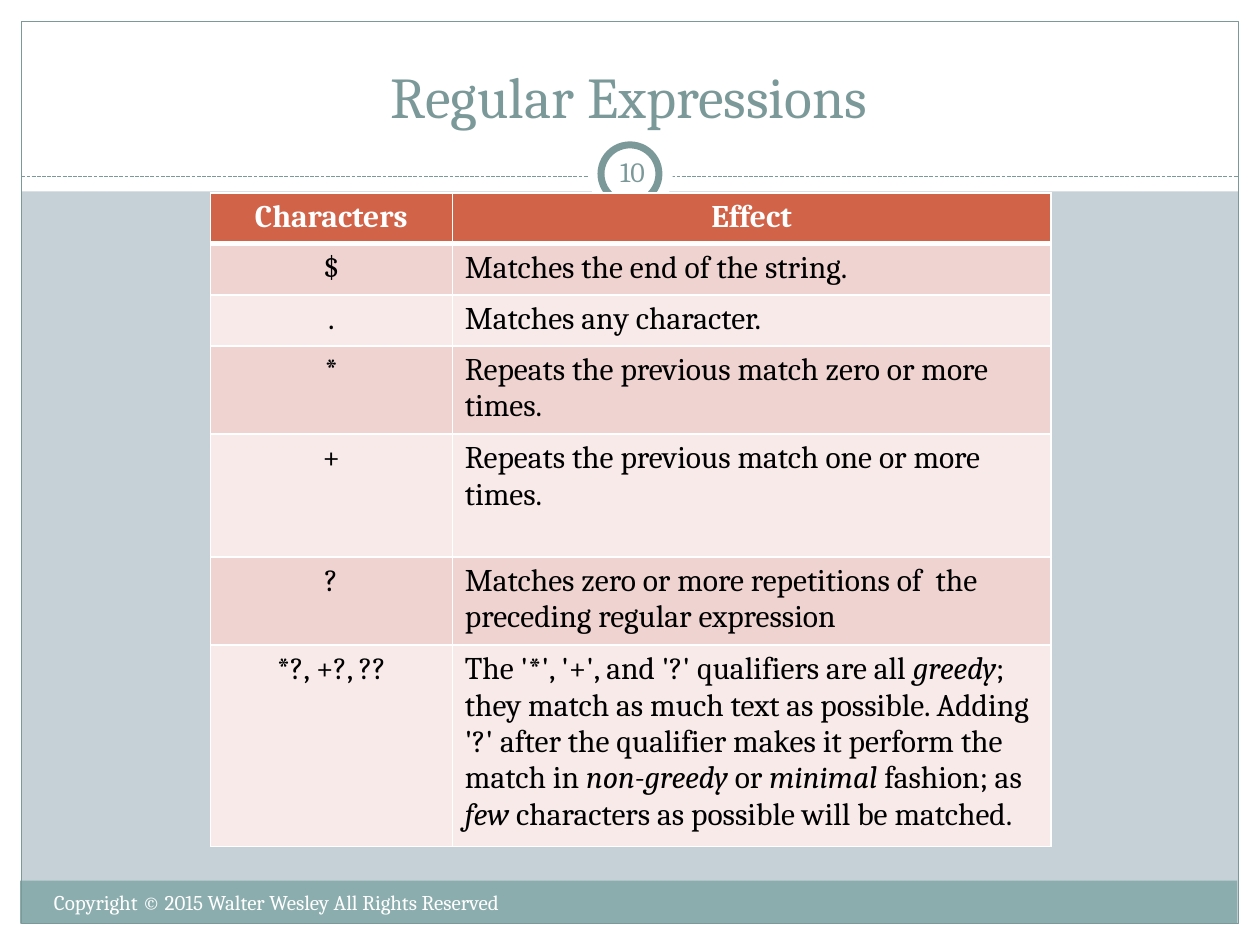
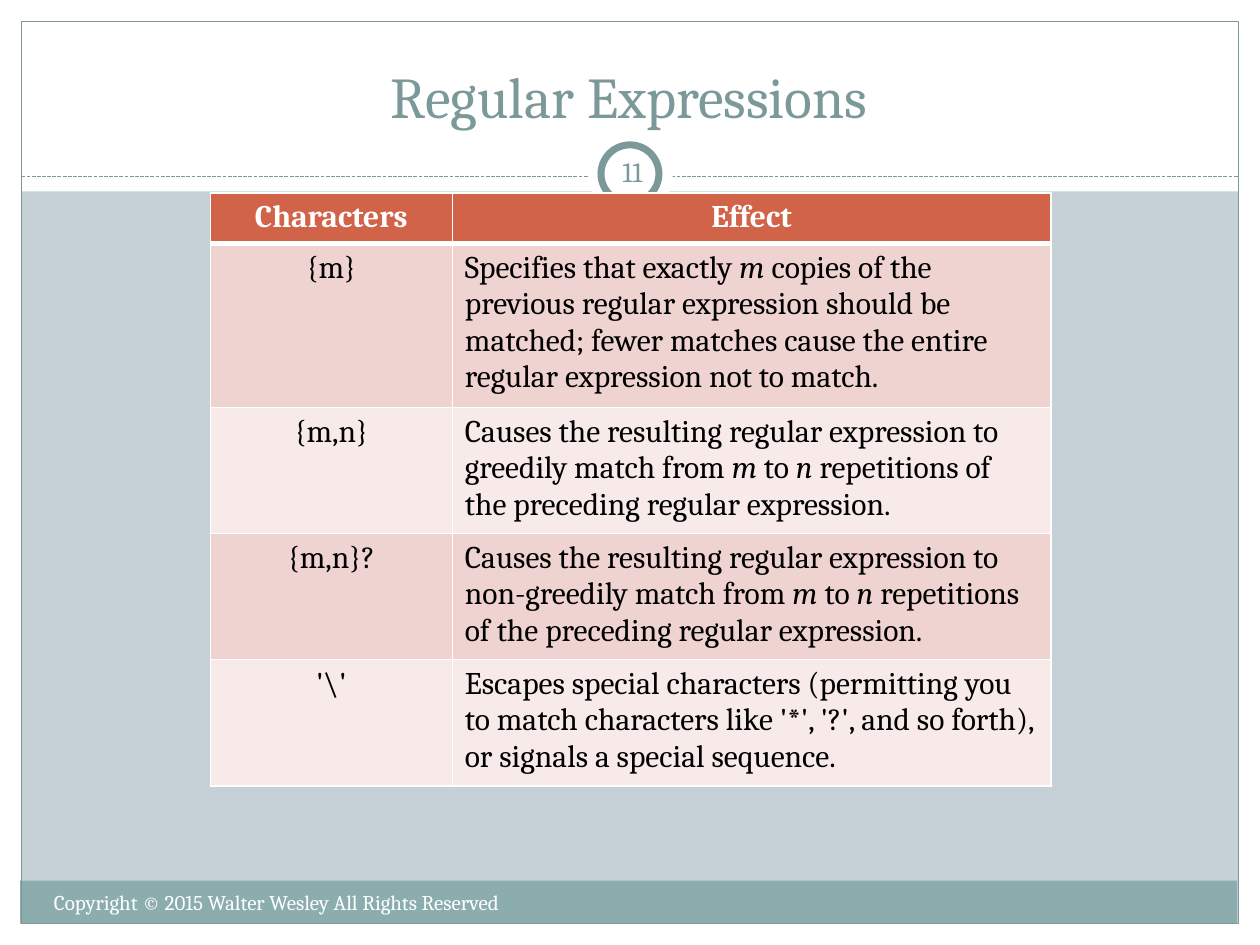
"""Build two slides that tabulate regular expression characters."""
import dataclasses

import pptx
import pptx.dml.color
import pptx.enum.dml
import pptx.enum.shapes
import pptx.enum.text
import pptx.oxml
import pptx.oxml.ns
import pptx.util

Inches = pptx.util.Inches
Pt = pptx.util.Pt
SHAPE = pptx.enum.shapes.MSO_SHAPE
ALIGN = pptx.enum.text.PP_ALIGN
ANCHOR = pptx.enum.text.MSO_ANCHOR
NS = pptx.oxml.ns.nsdecls("a")


@dataclasses.dataclass(frozen=True)
class Theme:
    font: str = "Cambria"
    paper: str = "C5D1D7"
    white: str = "FFFFFF"
    ink: str = "000000"
    accent: str = "7C999A"
    footer: str = "8CADAE"
    header: str = "D16349"
    bands: tuple = ("EED3D0", "F7EAE9")
    title_size: int = 33
    table_size: int = 18
    number_size: int = 16
    footer_size: int = 12


def rgb(color):
    return pptx.dml.color.RGBColor.from_string(color)


class Deck:
    def __init__(self, theme):
        self.theme = theme
        self.prs = pptx.Presentation()
        self.prs.slide_width = Inches(10)
        self.prs.slide_height = Inches(7.5)
        self.s = None

    def shape(self, kind, box, fill=None, line=None, width=0.75):
        sp = self.s.shapes.add_shape(kind, *map(Inches, box))
        sp.shadow.inherit = False
        if fill:
            sp.fill.solid()
            sp.fill.fore_color.rgb = rgb(fill)
        else:
            sp.fill.background()
        if line:
            sp.line.color.rgb = rgb(line)
            sp.line.width = Pt(width)
        else:
            sp.line.fill.background()

    def rule(self, x1, x2, y):
        cx = self.s.shapes.add_connector(
            pptx.enum.shapes.MSO_CONNECTOR.STRAIGHT,
            Inches(x1), Inches(y), Inches(x2), Inches(y))
        cx.line.color.rgb = rgb(self.theme.accent)
        cx.line.width = Pt(0.75)
        cx.line.dash_style = pptx.enum.dml.MSO_LINE.SQUARE_DOT
        cx._element.spPr.append(pptx.oxml.parse_xml(f"<a:effectLst {NS}/>"))

    def paragraph(self, p, text, size, color, align, bold=False):
        p.alignment = align
        p.font.name = self.theme.font
        p.font.size = Pt(size)
        p.font.bold = bold
        p.font.color.rgb = rgb(color)
        for i, part in enumerate(text.split("_")):
            r = p.add_run()
            r.text = part
            if i % 2:
                r.font.italic = True

    def text(self, box, text, size, color, align=ALIGN.LEFT,
             anchor=ANCHOR.TOP, inset=0.1):
        tf = self.s.shapes.add_textbox(*map(Inches, box)).text_frame
        tf.word_wrap = True
        tf.vertical_anchor = anchor
        tf.margin_left = tf.margin_right = Inches(inset)
        self.paragraph(tf.paragraphs[0], text, size, color, align)

    def cell(self, cell, text, fill, color, align, header):
        tc_pr = cell._tc.get_or_add_tcPr()
        for side in "LRTB":
            width = Pt(3 if header and side == "B" else 1)
            tc_pr.append(pptx.oxml.parse_xml(
                f'<a:ln{side} {NS} w="{width}"><a:solidFill>'
                f'<a:srgbClr val="{self.theme.white}"/></a:solidFill></a:ln{side}>'))
        cell.fill.solid()
        cell.fill.fore_color.rgb = rgb(fill)
        self.paragraph(cell.text_frame.paragraphs[0], text,
                       self.theme.table_size, color, align, header)

    def table(self, left, top, widths, rows):
        t = self.theme
        heights = [0.12 + 0.285 * lines for lines, *_ in rows]
        tbl = self.s.shapes.add_table(
            len(rows), len(widths), Inches(left), Inches(top),
            Inches(sum(widths)), Inches(sum(heights))).table
        tbl.first_row = tbl.horz_banding = False
        for col, width in zip(tbl.columns, widths):
            col.width = Inches(width)
        for i, (_, *texts) in enumerate(rows):
            tbl.rows[i].height = Inches(heights[i])
            header = i == 0
            fill = t.header if header else t.bands[(i - 1) % 2]
            for j, text in enumerate(texts):
                align = ALIGN.CENTER if header or j == 0 else ALIGN.LEFT
                self.cell(tbl.cell(i, j), text, fill,
                          t.white if header else t.ink, align, header)

    def slide(self, title, number):
        t = self.theme
        self.s = self.prs.slides.add_slide(self.prs.slide_layouts[6])
        self.s.background.fill.solid()
        self.s.background.fill.fore_color.rgb = rgb(t.paper)
        for box in ((0, 7.33, 10, 0.17), (0, 0, 10, 1.52),
                    (0, 0, 0.17, 7.5), (9.83, 0, 0.17, 7.5)):
            self.shape(SHAPE.RECTANGLE, box, t.white)
        self.shape(SHAPE.RECTANGLE, (0.16, 6.99, 9.66, 0.34), t.footer)
        self.shape(SHAPE.RECTANGLE, (0.17, 0.17, 9.66, 7.16), line=t.accent)
        self.rule(0.17, 9.83, 1.4)
        self.shape(SHAPE.OVAL, (4.67, 1.05, 0.67, 0.67), t.white)
        self.shape(SHAPE.OVAL, (4.77, 1.15, 0.46, 0.46), t.white, t.accent, 4)
        self.text((0.33, 0.25, 9.33, 0.83), title, t.title_size, t.accent,
                  ALIGN.CENTER, ANCHOR.BOTTOM)
        self.text((0.33, 7.01, 4.75, 0.4),
                  "Copyright © 2015 Walter Wesley All Rights Reserved",
                  t.footer_size, t.white)
        self.text((4.77, 1.12, 0.5, 0.48), str(number), t.number_size, t.accent,
                  ALIGN.CENTER, ANCHOR.MIDDLE, 0.05)


HEADER = (1, "Characters", "Effect")
REPEATS = "Repeats the previous match {} or more times."
CAUSES = ("Causes the resulting regular expression to {} match from _m_ to _n_ "
          "repetitions of the preceding regular expression.")
TABLES = (
    (
        (1, "$", "Matches the end of the string."),
        (1, ".", "Matches any character."),
        (2, "*", REPEATS.format("zero")),
        (3, "+", REPEATS.format("one")),
        (2, "?", "Matches zero or more repetitions of  the preceding "
                 "regular expression"),
        (5, "*?, +?, ??",
         "The '*', '+', and '?' qualifiers are all _greedy_; they match as much "
         "text as possible. Adding '?' after the qualifier makes it perform the "
         "match in _non-greedy_ or _minimal_ fashion; as _few_ characters as "
         "possible will be matched."),
    ),
    (
        (4, "{m}", "Specifies that exactly _m_ copies of the previous regular "
                   "expression should be matched; fewer matches cause the entire "
                   "regular expression not to match."),
        (3, "{m,n}", CAUSES.format("greedily")),
        (3, "{m,n}?", CAUSES.format("non-greedily")),
        (3, "'\\'", "Escapes special characters (permitting you to match "
                    "characters like '*', '?', and so forth), or signals a "
                    "special sequence."),
    ),
)

deck = Deck(Theme())
for number, rows in enumerate(TABLES, start=10):
    deck.slide("Regular Expressions", number)
    deck.table(1.67, 1.53, (1.92, 4.75), (HEADER, *rows))
deck.prs.save("out.pptx")
